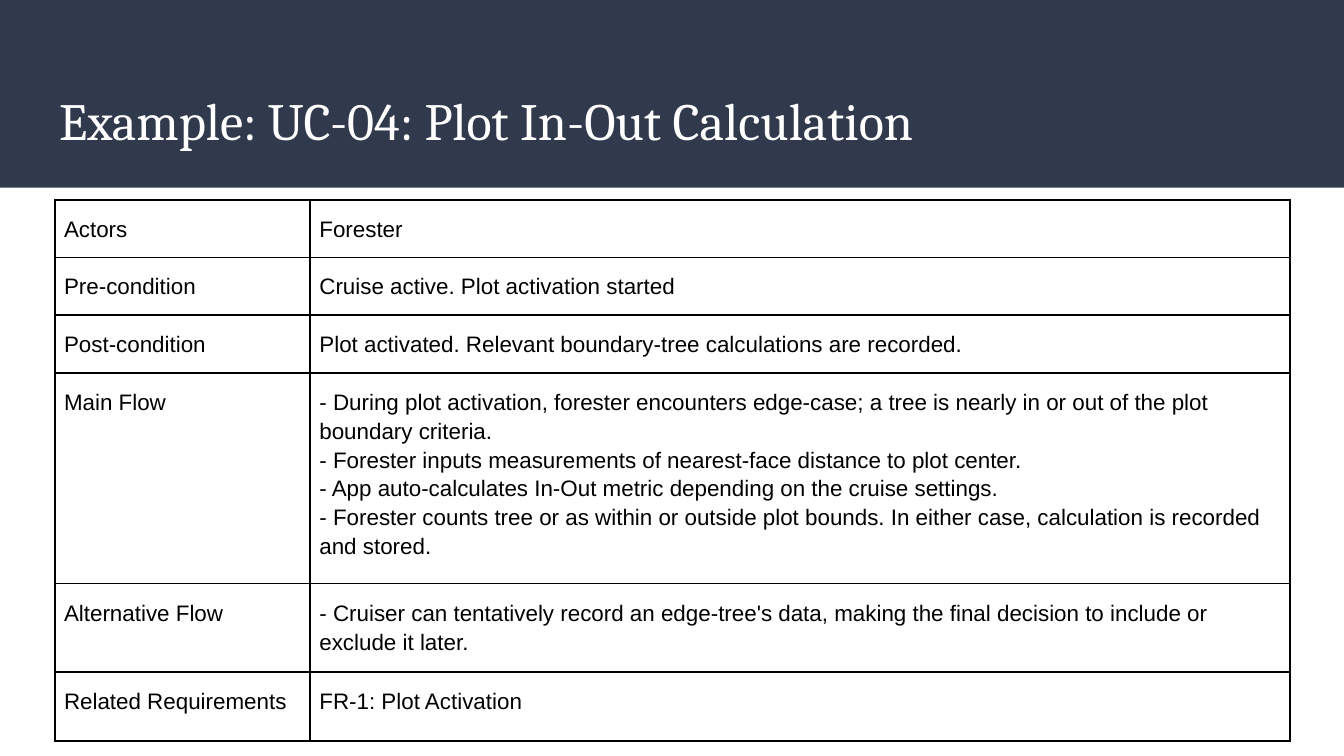
from dataclasses import dataclass

import lxml.etree
import pptx
import pptx.dml.color
import pptx.enum.text
import pptx.oxml.ns
import pptx.util

Pt = pptx.util.Pt


@dataclass(frozen=True)
class Theme:
    band: str = "31394D"
    light: str = "FFFFFF"
    ink: str = "000000"
    title_font: str = "Cambria"
    body_font: str = "Arial"
    title_size: float = 28
    body_size: float = 12
    line_spacing: float = 1.15
    border_width: float = 1


THEME = Theme()
COLUMN_WIDTHS = [136.8, 524.9]

# Row height, label, and the paragraphs beside it
USE_CASE = [
    (30.9, "Actors", ["Forester"]),
    (30.9, "Pre-condition", ["Cruise active. Plot activation started"]),
    (30.9, "Post-condition", ["Plot activated. Relevant boundary-tree calculations are recorded."]),
    (113, "Main Flow", [
        "- During plot activation, forester encounters edge-case; a tree is nearly in or out "
        "of the plot boundary criteria.",
        "- Forester inputs measurements of nearest-face distance to plot center.",
        "- App auto-calculates In-Out metric depending on the cruise settings.",
        "- Forester counts tree or as within or outside plot bounds. In either case, "
        "calculation is recorded and stored.",
    ]),
    (47.3, "Alternative Flow", [
        "- Cruiser can tentatively record an edge-tree's data, making the final decision "
        "to include or exclude it later.",
    ]),
    (37, "Related Requirements", ["FR-1: Plot Activation"]),
]


def rgb(value):
    return pptx.dml.color.RGBColor.from_string(value)


def write_text(frame, lines, *, font, size, color, spacing=1.0):
    """Fill a text frame with one left-aligned paragraph per line."""
    for index, line in enumerate(lines):
        para = frame.paragraphs[0] if index == 0 else frame.add_paragraph()
        para.alignment = pptx.enum.text.PP_ALIGN.LEFT
        para.line_spacing = spacing
        para.space_before = para.space_after = Pt(0)
        span = para.add_run()
        span.text = line
        span.font.name = font
        span.font.size = Pt(size)
        span.font.bold = False
        span.font.color.rgb = rgb(color)


def add_title(page, text):
    title = page.shapes.title
    title.left, title.top, title.width, title.height = Pt(24.5), Pt(39.6), Pt(671), Pt(49)
    frame = title.text_frame
    frame.word_wrap = True
    frame.auto_size = pptx.enum.text.MSO_AUTO_SIZE.NONE
    frame.vertical_anchor = pptx.enum.text.MSO_ANCHOR.MIDDLE
    frame.margin_left = frame.margin_right = Pt(7.2)
    frame.margin_top = frame.margin_bottom = Pt(7.2)
    write_text(frame, [text], font=THEME.title_font, size=THEME.title_size, color=THEME.light)


def add_header_band(page, width, height):
    """Draw the header band behind the title."""
    band = page.shapes.add_shape(
        pptx.enum.shapes.MSO_SHAPE.RECTANGLE, 0, 0, width, height)
    band.shadow.inherit = False
    band.fill.solid()
    band.fill.fore_color.rgb = rgb(THEME.band)
    band.line.fill.background()
    page.shapes.title.element.addprevious(band.element)


def add_borders(cell):
    properties = cell._tc.get_or_add_tcPr()
    qn = pptx.oxml.ns.qn
    for side in ("lnL", "lnR", "lnT", "lnB"):
        line = lxml.etree.SubElement(
            properties, qn(f"a:{side}"), w=str(Pt(THEME.border_width)))
        fill = lxml.etree.SubElement(line, qn("a:solidFill"))
        lxml.etree.SubElement(fill, qn("a:srgbClr"), val=THEME.ink)


def format_cell(cell, lines):
    add_borders(cell)
    cell.fill.background()
    cell.margin_left = cell.margin_right = Pt(5)
    cell.margin_top = cell.margin_bottom = Pt(7.2)
    cell.vertical_anchor = pptx.enum.text.MSO_ANCHOR.TOP
    write_text(cell.text_frame, lines, font=THEME.body_font, size=THEME.body_size,
               color=THEME.ink, spacing=THEME.line_spacing)


def add_use_case_table(page, rows):
    height = sum(row[0] for row in rows)
    table = page.shapes.add_table(
        len(rows), len(COLUMN_WIDTHS), Pt(29.3), Pt(107),
        Pt(sum(COLUMN_WIDTHS)), Pt(height)).table
    table.first_row = table.horz_banding = False
    for column, width in zip(table.columns, COLUMN_WIDTHS):
        column.width = Pt(width)
    for index, (row_height, label, details) in enumerate(rows):
        table.rows[index].height = Pt(row_height)
        format_cell(table.cell(index, 0), [label])
        format_cell(table.cell(index, 1), details)


def main():
    deck = pptx.Presentation()
    deck.slide_width, deck.slide_height = Pt(720), Pt(405)
    page = deck.slides.add_slide(deck.slide_layouts[5])  # Title Only

    # Header
    add_title(page, "Example: UC-04: Plot In-Out Calculation")
    add_header_band(page, deck.slide_width, Pt(100.6))

    # Use case
    add_use_case_table(page, USE_CASE)

    deck.save("out.pptx")


if __name__ == "__main__":
    main()
